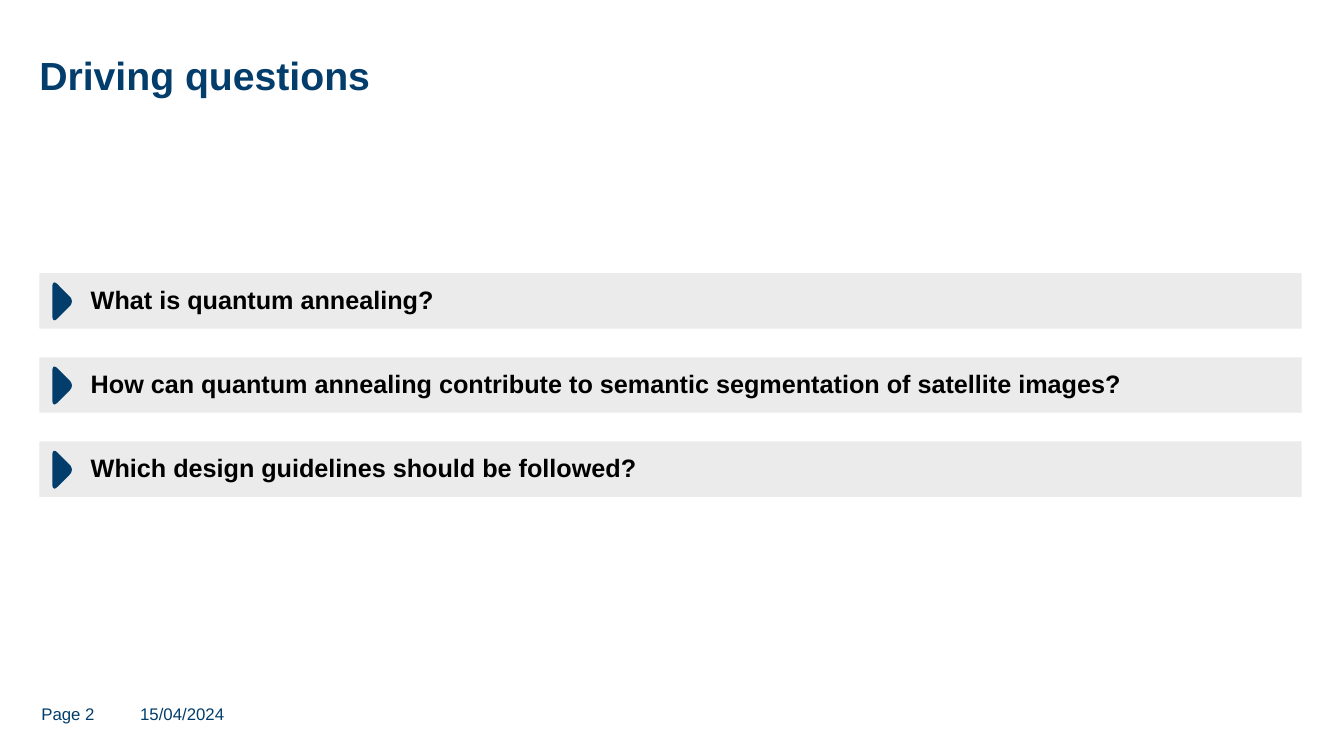
from pptx import Presentation
from pptx.dml.color import RGBColor
from pptx.enum.shapes import MSO_SHAPE as SHAPE
from pptx.enum.text import MSO_ANCHOR as ANCHOR, PP_ALIGN as ALIGN
from pptx.util import Inches, Pt

COLORS = {"navy": "023D6B", "gray": "EBEBEB", "black": "000000"}
QUESTIONS = [
    "What is quantum annealing?",
    "How can quantum annealing contribute to semantic segmentation of satellite images?",
    "Which design guidelines should be followed?",
]
LEFT, WIDTH = 0.39, 12.52
# Rounded corners of the marker, each a Bezier curve, relative to its box
CORNERS = [
    [(0, 0.34), (0, 0.38), (0.02, 0.39), (0.05, 0.36)],
    [(0.17, 0.24), (0.2, 0.21), (0.2, 0.17), (0.17, 0.14)],
    [(0.05, 0.02), (0.02, -0.01), (0, 0), (0, 0.04)],
]


def color(name):
    return RGBColor.from_string(COLORS[name])


def paint(shape, name):
    shape.shadow.inherit = False
    shape.fill.solid()
    shape.fill.fore_color.rgb = color(name)
    shape.line.fill.background()


def write(shape, text, size, name, bold=False, anchor=ANCHOR.TOP,
          insets=(0, 0, 0, 0), spacing=1.0):
    frame = shape.text_frame
    frame.word_wrap = True
    frame.vertical_anchor = anchor
    (frame.margin_left, frame.margin_top,
     frame.margin_right, frame.margin_bottom) = map(Inches, insets)
    para = frame.paragraphs[0]
    para.alignment = ALIGN.LEFT
    para.line_spacing = spacing
    run = para.add_run()
    run.text = text
    font = run.font
    font.name, font.size, font.bold = "Arial", Pt(size), bold
    font.color.rgb = color(name)


def bend(corner, steps=8):
    """Return points along a cubic Bezier curve."""
    points = []
    for step in range(steps + 1):
        t = step / steps
        weights = ((1 - t) ** 3, 3 * t * (1 - t) ** 2, 3 * t * t * (1 - t), t ** 3)
        points.append(tuple(sum(w * p[axis] for w, p in zip(weights, corner))
                            for axis in (0, 1)))
    return points


def add_title(slide, text, x, y, w, h):
    title = slide.shapes.title
    title.left, title.top, title.width, title.height = map(Inches, (x, y, w, h))
    write(title, text, 28, "navy", bold=True, anchor=ANCHOR.MIDDLE, spacing=1.14)


def add_marker(slide, x, y):
    points = [(Inches(x + dx), Inches(y + dy))
              for corner in CORNERS for dx, dy in bend(corner)]
    outline = slide.shapes.build_freeform(*points[0])
    outline.add_line_segments(points[1:], close=True)
    paint(outline.convert_to_shape(), "navy")


def add_question(slide, text, x, y, w, h):
    bar = slide.shapes.add_shape(SHAPE.RECTANGLE, *map(Inches, (x, y, w, h)))
    paint(bar, "gray")
    write(bar, text, 18, "black", bold=True, anchor=ANCHOR.MIDDLE,
          insets=(0.51, 0.05, 0.1, 0.05), spacing=0.95)
    add_marker(slide, x + 0.13, y + 0.09)


def add_footer(slide, y):
    for text, x, w in (("15/04/2024", 1.39, 1.75), ("Page 2", 0.41, 0.79)):
        box = slide.shapes.add_textbox(*map(Inches, (x, y, w, 0.24)))
        write(box, text, 12, "navy")


def main():
    deck = Presentation()
    deck.slide_width, deck.slide_height = Inches(13.33), Inches(7.5)
    slide = deck.slides.add_slide(deck.slide_layouts[5])
    add_title(slide, "Driving questions", LEFT, 0.35, WIDTH, 0.72)
    for row, text in enumerate(QUESTIONS):
        add_question(slide, text, LEFT, 2.71 + row * 0.835, WIDTH, 0.55)
    add_footer(slide, 6.98)
    deck.save("out.pptx")


if __name__ == "__main__":
    main()
